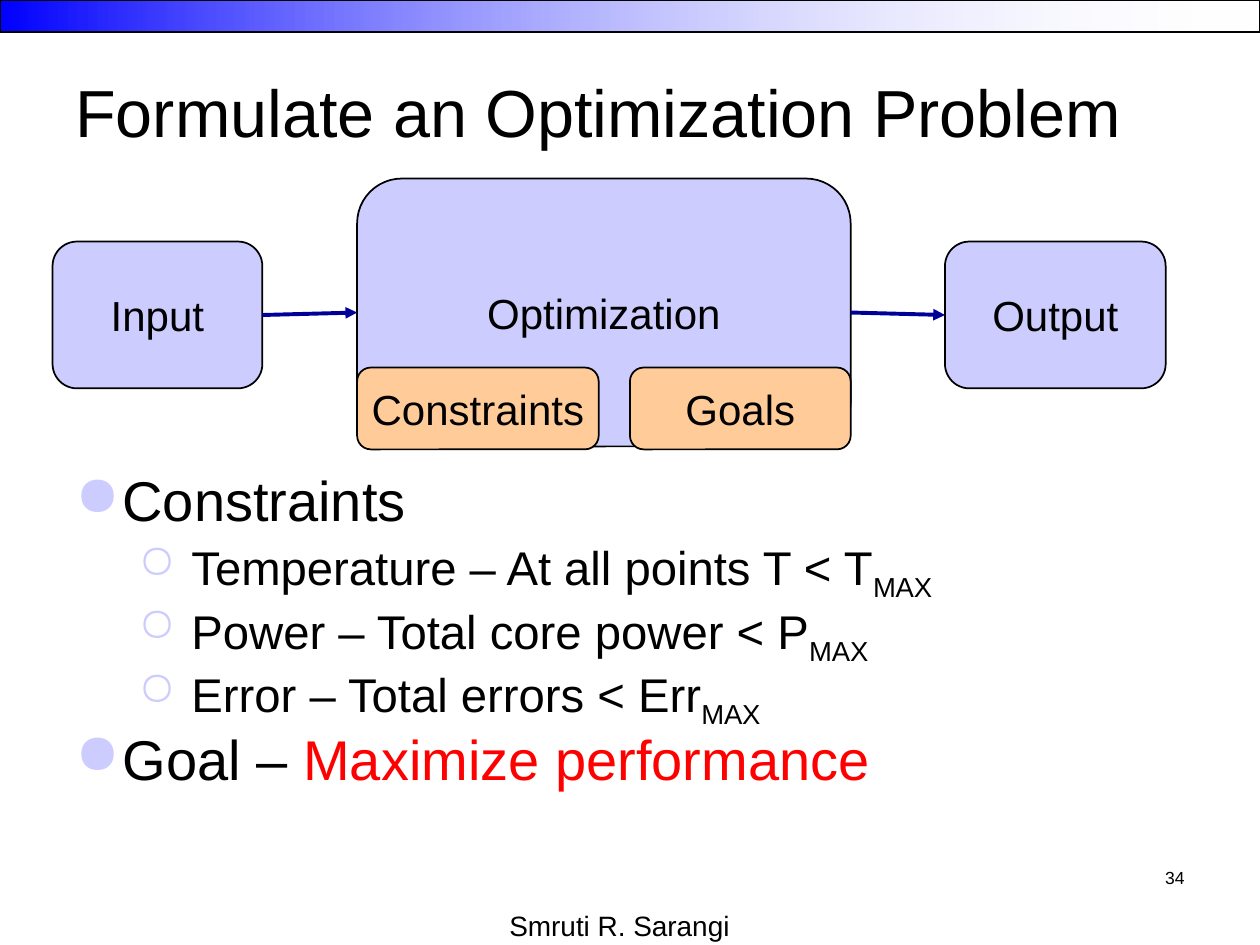
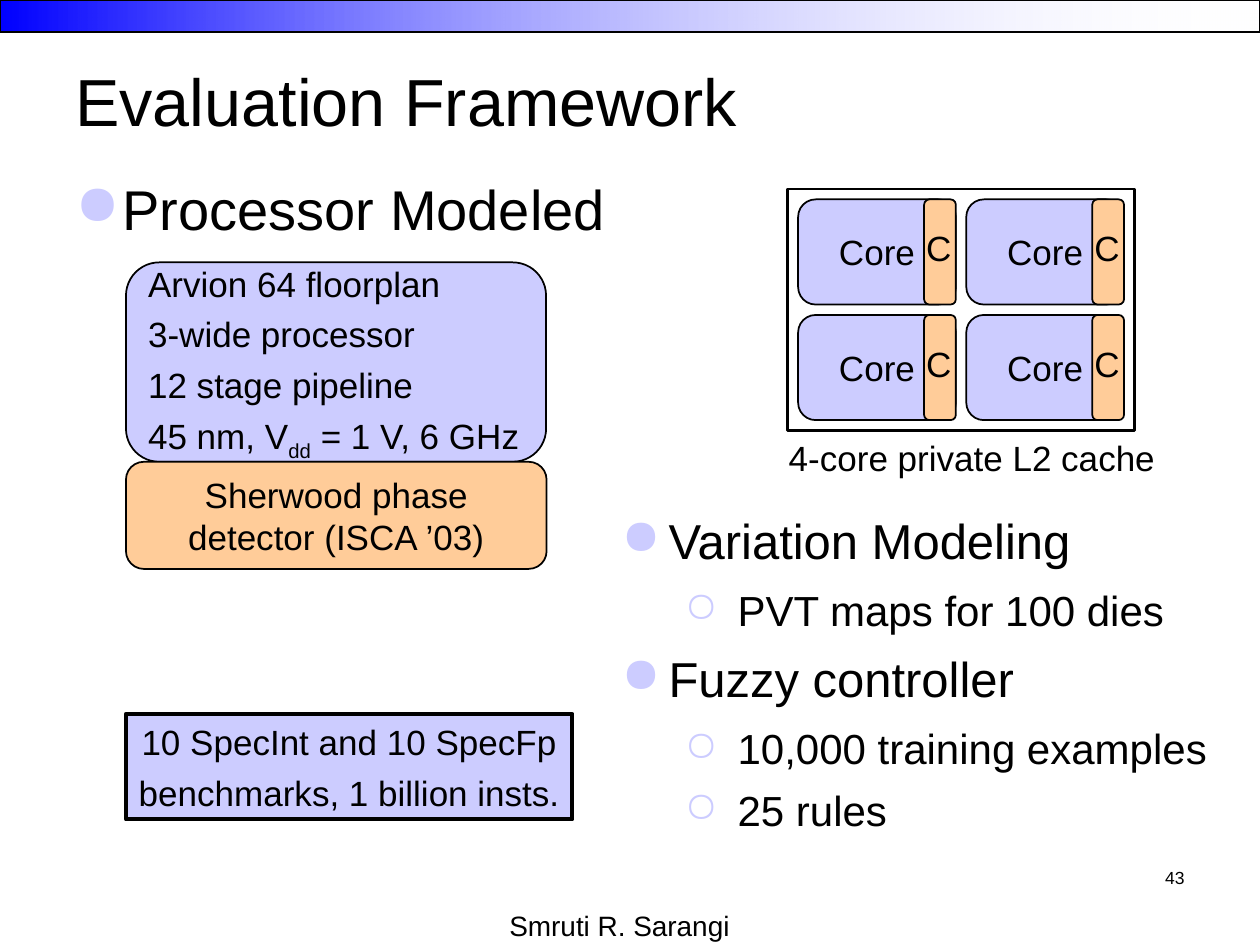
"""Build two slides on chip optimization and its evaluation framework."""
from dataclasses import dataclass
from itertools import product
from typing import NamedTuple, Optional

from lxml.etree import SubElement
from pptx import Presentation
from pptx.dml.color import RGBColor
from pptx.enum.shapes import MSO_CONNECTOR, MSO_SHAPE as Preset
from pptx.enum.text import MSO_ANCHOR as Anchor, PP_ALIGN as Align
from pptx.oxml.ns import qn
from pptx.shapes.autoshape import Shape
from pptx.slide import Slide
from pptx.util import Cm, Pt

BLACK = RGBColor(0x00, 0x00, 0x00)
WHITE = RGBColor(0xFF, 0xFF, 0xFF)
BLUE = RGBColor(0x00, 0x00, 0xFF)
NAVY = RGBColor(0x00, 0x00, 0x99)
LILAC = RGBColor(0xCC, 0xCC, 0xFF)
PEACH = RGBColor(0xFF, 0xCC, 0x99)
RED = RGBColor(0xFF, 0x00, 0x00)
FONT = "Arial"
AUTHOR = "Smruti R. Sarangi"


class Area(NamedTuple):
    """Left, top, width and height in centimetres."""
    left: float
    top: float
    width: float
    height: float

    def lengths(self) -> list[Cm]:
        """Return the four values as lengths."""
        return [Cm(value) for value in self]


class Span(NamedTuple):
    """A piece of text inside a line."""
    text: str
    color: Optional[RGBColor] = None
    subscript: bool = False


class Bullet(NamedTuple):
    """A list level with its mark and indents in centimetres."""
    level: int
    mark: str
    margin: float
    hanging: float


@dataclass
class Line:
    """One paragraph of text."""
    spans: list[Span]
    size: float
    before: float = 0
    bullet: Optional[Bullet] = None
    align: Align = Align.LEFT
    spacing: Optional[float] = None


@dataclass
class Block:
    """A filled and outlined shape with text."""
    area: Area
    lines: list[Line]
    fill: Optional[RGBColor] = LILAC
    preset: Preset = Preset.ROUNDED_RECTANGLE
    weight: float = 1
    wrap: bool = False


MAIN = Bullet(0, "●", 0.95, 0.95)
SUB = Bullet(1, "○", 2.34, 1.07)
MAX = Span("MAX", subscript=True)


def plain(text: str, size: float, **options) -> Line:
    """Make a line of a single span."""
    return Line([Span(text)], size, **options)


def centred(text: str, size: float, **options) -> Line:
    """Make a centred line of a single span."""
    return plain(text, size, align=Align.CENTER, **options)


def write(shape: Shape, lines: list[Line], anchor: Anchor, wrap: bool) -> None:
    """Fill the text frame of a shape with lines."""
    frame = shape.text_frame
    frame.word_wrap = wrap
    frame.vertical_anchor = anchor
    for index, line in enumerate(lines):
        para = frame.add_paragraph() if index else frame.paragraphs[0]
        if line.bullet:
            add_bullet(para, line.bullet)
        para.alignment = line.align
        if index:
            para.space_before = Pt(line.before)
        if line.spacing:
            para.line_spacing = line.spacing
        para.font.name = FONT
        para.font.size = Pt(line.size)
        para.font.color.rgb = BLACK
        for piece in line.spans:
            span = para.add_run()
            span.text = piece.text
            if piece.color is not None:
                span.font.color.rgb = piece.color
            if piece.subscript:
                span._r.get_or_add_rPr().set("baseline", "-25000")


def add_bullet(para, bullet: Bullet) -> None:
    """Give a paragraph its bullet mark and indents."""
    para.level = bullet.level
    properties = para._p.get_or_add_pPr()
    properties.set("marL", str(Cm(bullet.margin)))
    properties.set("indent", str(-Cm(bullet.hanging)))
    color = SubElement(properties, qn("a:buClr"))
    SubElement(color, qn("a:srgbClr"), val=str(LILAC))
    SubElement(properties, qn("a:buChar"), char=bullet.mark)


def add_text(page: Slide, area: Area, lines: list[Line],
             anchor: Anchor = Anchor.TOP, wrap: bool = True) -> None:
    """Add a text box."""
    write(page.shapes.add_textbox(*area.lengths()), lines, anchor, wrap)


def add_block(page: Slide, block: Block) -> Shape:
    """Draw a block and return its shape."""
    shape = page.shapes.add_shape(block.preset, *block.area.lengths())
    shape.shadow.inherit = False
    if block.fill is None:
        shape.fill.background()
    else:
        shape.fill.solid()
        shape.fill.fore_color.rgb = block.fill
    shape.line.color.rgb = BLACK
    shape.line.width = Pt(block.weight)
    write(shape, block.lines, Anchor.MIDDLE, block.wrap)
    return shape


def add_arrow(page: Slide, start: Shape, end: Shape) -> None:
    """Join the right side of one shape to the left side of another."""
    arrow = page.shapes.add_connector(MSO_CONNECTOR.STRAIGHT, 0, 0, 0, 0)
    arrow.begin_connect(start, 3)
    arrow.end_connect(end, 1)
    arrow.line.color.rgb = NAVY
    arrow.line.width = Pt(2.25)
    SubElement(arrow.line._get_or_add_ln(), qn("a:tailEnd"), type="triangle")
    SubElement(arrow._element.spPr, qn("a:effectLst"))


def add_page(deck, title: str, title_top: float, number: int) -> Slide:
    """Add a slide with the top band, footer, number and title."""
    page = deck.slides.add_slide(deck.slide_layouts[6])
    band = add_block(page, Block(Area(0, 0, 25.4, 0.64), [], preset=Preset.RECTANGLE))
    band.fill.gradient()
    band.fill.gradient_angle = 0
    for stop, color in zip(band.fill.gradient_stops, (BLUE, WHITE)):
        stop.color.rgb = color
    fading = list(band._element.spPr.iter(qn("a:srgbClr")))[1]
    SubElement(fading, qn("a:alpha"), val="2000")
    add_text(page, Area(8.47, 18.2, 8.04, 0.85), [centred(AUTHOR, 16)])
    add_text(page, Area(18.2, 17.36, 5.93, 1.27),
             [plain(str(number), 10, align=Align.RIGHT)])
    add_text(page, Area(1.27, title_top, 22.86, 3.18), [plain(title, 38)], Anchor.MIDDLE)
    return page


def build_problem(deck) -> None:
    """Build the slide on the optimization problem."""
    page = add_page(deck, "Formulate an Optimization Problem", 0.64, 34)
    main = dict(size=32, before=8, bullet=MAIN, spacing=0.8)
    sub = dict(size=27, before=6.8, bullet=SUB, spacing=0.8)
    add_text(page, Area(1.27, 9.53, 22.86, 7.09), [
        Line([Span("Constraints")], **main),
        Line([Span("Temperature – At all points T < T"), MAX], **sub),
        Line([Span("Power – Total core power < P"), MAX], **sub),
        Line([Span("Error – Total errors < Err"), MAX], **sub),
        Line([Span("Goal – "), Span("Maximize performance", RED)], **main),
    ])
    steps = {
        "Optimization": (Area(7.2, 3.6, 9.95, 5.4), LILAC),
        "Output": (Area(19.05, 4.87, 4.45, 2.96), LILAC),
        "Constraints": (Area(7.2, 7.41, 4.87, 1.65), PEACH),
        "Goals": (Area(12.7, 7.41, 4.45, 1.65), PEACH),
        "Input": (Area(1.06, 4.87, 4.23, 2.96), LILAC),
    }
    shapes = {name: add_block(page, Block(area, [centred(name, 24)], fill))
              for name, (area, fill) in steps.items()}
    add_arrow(page, shapes["Input"], shapes["Optimization"])
    add_arrow(page, shapes["Optimization"], shapes["Output"])


def add_cores(page: Slide) -> None:
    """Draw the framed grid of cores with their caches."""
    add_block(page, Block(Area(15.88, 3.81, 6.99, 4.87), [], None, Preset.RECTANGLE, 1.5))
    for row, column in product(range(2), repeat=2):
        left, top = 16.09 + 3.39 * column, 4.02 + 2.33 * row
        cache_left = left + 2.54
        add_block(page, Block(Area(left, top, 3.18, 2.12), [centred("Core", 20)]))
        add_block(page, Block(Area(cache_left, top, 0.64, 2.12), [], PEACH))
        add_text(page, Area(cache_left - 0.21, top + 0.42, 1.02, 1.12),
                 [plain("C", 20)], wrap=False)
    add_text(page, Area(15.65, 8.68, 7.9, 1.12),
             [plain("4-core private L2 cache", 20)], wrap=False)


def build_evaluation(deck) -> None:
    """Build the slide on the evaluation framework."""
    page = add_page(deck, "Evaluation Framework", 0.42, 43)
    add_text(page, Area(1.27, 3.39, 22.86, 1.69),
             [plain("Processor Modeled", 32, bullet=MAIN)])
    features = [plain(text, 20, before=5) for text in
                ("Arvion 64 floorplan", "3-wide processor", "12 stage pipeline")]
    voltage = Line([Span("45 nm, V"), Span("dd", subscript=True),
                    Span(" = 1 V, 6 GHz")], 20, before=5)
    add_block(page, Block(Area(2.54, 5.29, 8.47, 4.02), [*features, voltage]))
    add_block(page, Block(Area(2.54, 9.31, 8.48, 2.16),
                          [centred("Sherwood phase detector (ISCA ’03)", 20)],
                          PEACH, wrap=True))
    add_block(page, Block(Area(2.54, 14.39, 9, 2.13),
                          [centred("10 SpecInt and 10 SpecFp", 20),
                           centred("benchmarks, 1 billion insts.", 20, before=5)],
                          preset=Preset.RECTANGLE, weight=2.25))
    add_cores(page)
    add_text(page, Area(12.28, 10.16, 13.12, 6.83), [
        plain("Variation Modeling", 28, bullet=MAIN),
        plain("PVT maps for 100 dies", 24, before=9, bullet=SUB),
        plain("Fuzzy controller", 28, before=7.5, bullet=MAIN),
        plain("10,000 training examples", 24, before=9, bullet=SUB),
        plain("25 rules", 24, before=6.5, bullet=SUB),
    ])


def main() -> None:
    """Build and save the deck."""
    deck = Presentation()
    deck.slide_width, deck.slide_height = Cm(25.4), Cm(19.05)
    build_problem(deck)
    build_evaluation(deck)
    deck.save("out.pptx")


if __name__ == "__main__":
    main()
